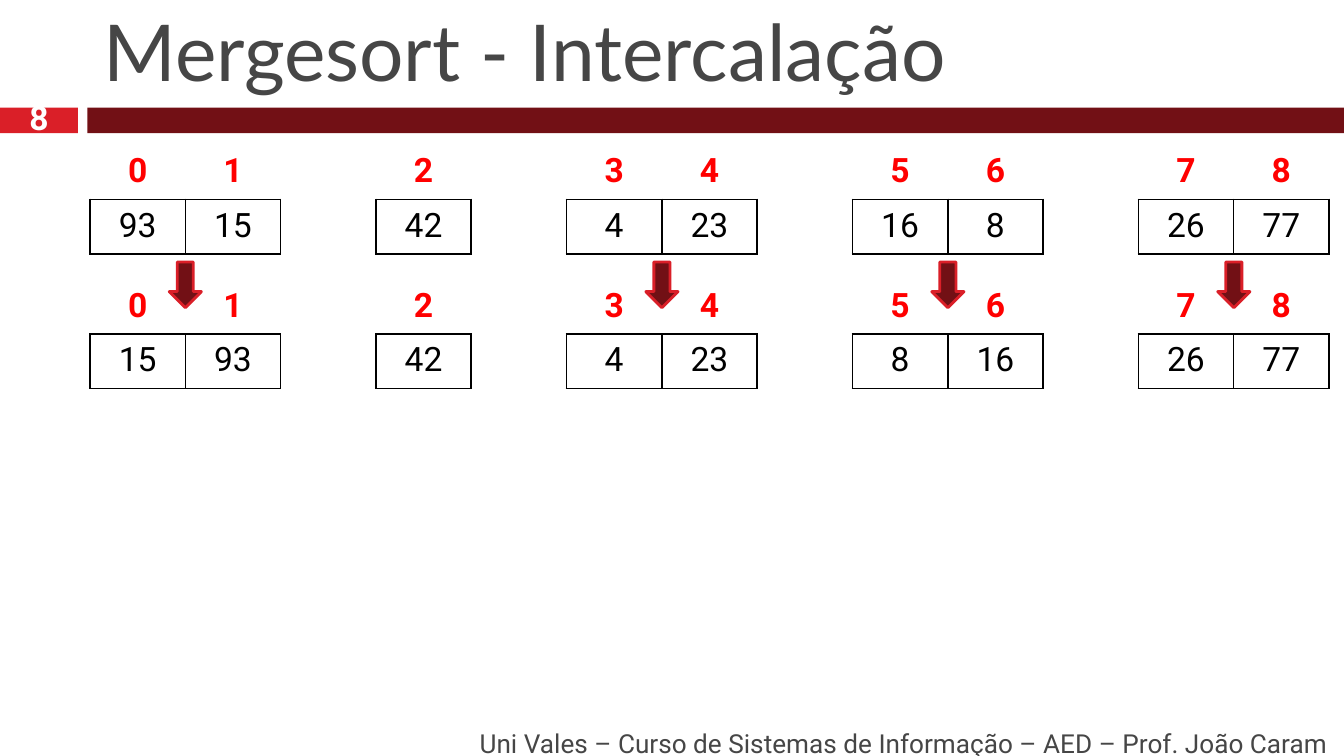
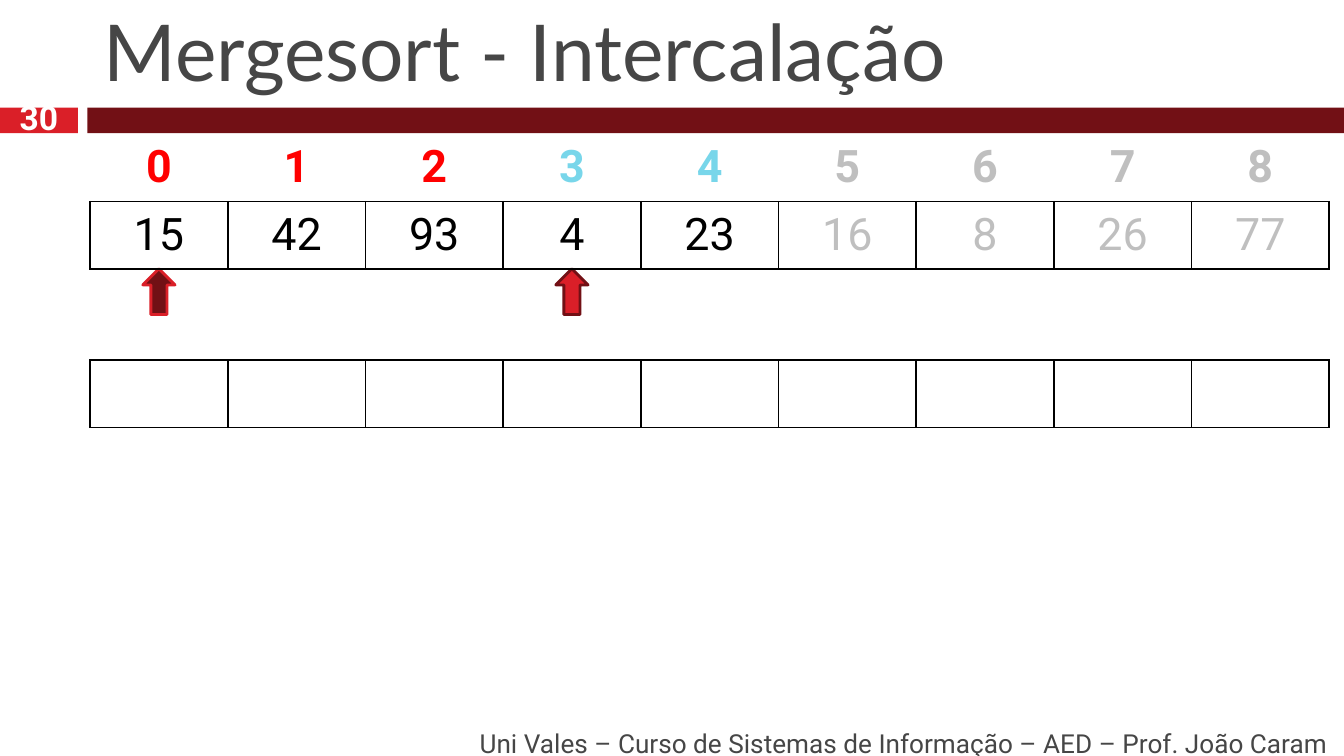
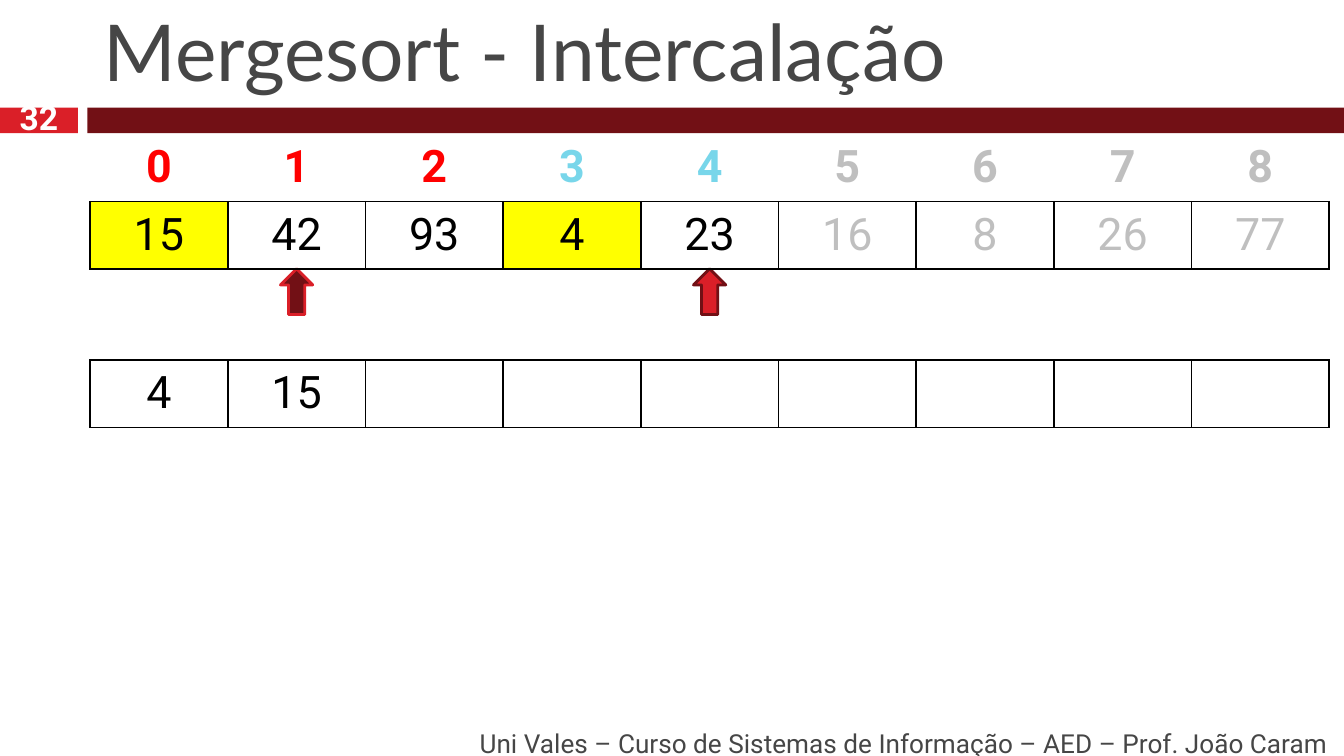
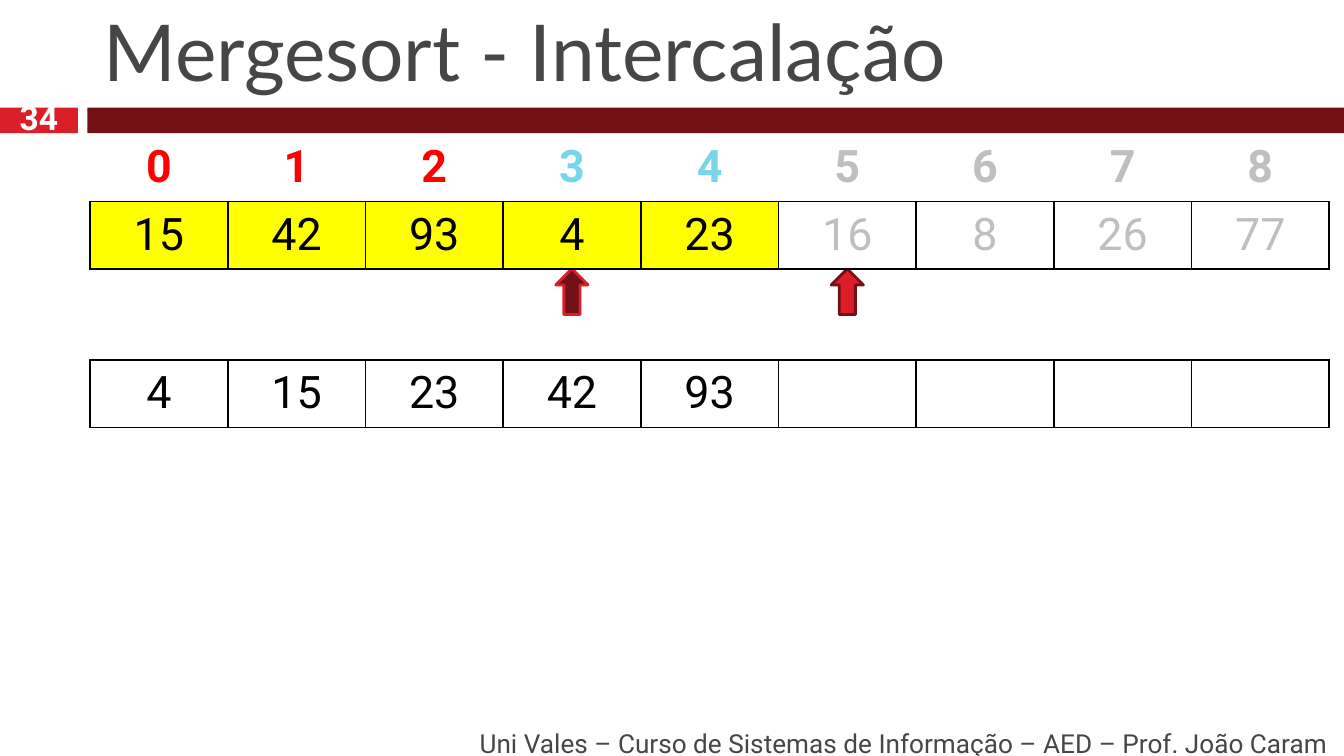
from dataclasses import dataclass

from lxml import etree
from pptx import Presentation
from pptx import util as u
from pptx.dml.color import RGBColor
from pptx.enum import shapes, text
from pptx.oxml import ns


@dataclass(frozen=True)
class Theme:
    """Colours, fonts and type sizes of the deck."""
    dark: str = "721015"
    red: str = "DA1F28"
    gray: str = "464646"
    white: str = "FFFFFF"
    black: str = "000000"
    left: str = "FF0000"
    right: str = "78D6EA"
    idle: str = "BFBFBF"
    done: str = "FFFF00"
    head: str = "Lato"
    body: str = "Roboto"
    title: int = 42
    large: int = 24
    small: int = 18
    foot: int = 14
    plain: str = "{2D5ABB26-0587-4C30-8999-92F81FD0307C}"


T = Theme()
TITLE = "Mergesort - Intercalação"
FOOT = "Uni Vales – Curso de Sistemas de Informação – AED – Prof. João Caram"
LEFT, WIDE = 0.67, 9.22
ROW = 0.81 / 2
ARROW = 0.24, 0.34
PAIRS = [[93, 15], [42], [4, 23], [16, 8], [26, 77]]
SORTED = [sorted(pair) for pair in PAIRS]
LIST = [15, 42, 93, 4, 23, 16, 8, 26, 77]
TONES = [T.left] * 3 + [T.right] * 2 + [T.idle] * 4
STEPS = [
    (30, 0, 3, [], []),
    (32, 1, 4, [0, 3], [4, 15]),
    (34, 3, 5, range(5), [4, 15, 23, 42, 93]),
]


def rgb(code):
    """Turn a hex code into a colour."""
    return RGBColor.from_string(code)


def inch(box):
    """Turn a box in inches into lengths."""
    return [u.Inches(n) for n in box]


def write(frame, words, size, tone, align, bold=False, face=T.body):
    """Put one formatted run into the first paragraph of a frame."""
    par = frame.paragraphs[0]
    par.alignment = align
    run = par.add_run()
    run.text = str(words)
    font = run.font
    font.size, font.bold, font.name = u.Pt(size), bold, face
    font.color.rgb = rgb(tone)


def blank(frame, size):
    """Give an empty paragraph its type size."""
    end = etree.SubElement(frame.paragraphs[0]._p, ns.qn("a:endParaRPr"),
                           sz=str(size * 100))
    etree.SubElement(end, ns.qn("a:latin"), typeface=T.body)


def label(slide, box, words, size, tone, align, bold=False):
    """Add a text box centred on its height."""
    frame = slide.shapes.add_textbox(*inch(box)).text_frame
    frame.word_wrap = True
    frame.margin_top = frame.margin_bottom = 0
    frame.vertical_anchor = text.MSO_ANCHOR.MIDDLE
    write(frame, words, size, tone, align, bold)


def block(slide, kind, box, fill, line=None):
    """Add a flat preset shape."""
    shape = slide.shapes.add_shape(kind, *inch(box))
    shape.shadow.inherit = False
    shape.fill.solid()
    shape.fill.fore_color.rgb = rgb(fill)
    if line:
        shape.line.color.rgb = rgb(line)
        shape.line.width = u.Pt(1.5)
    else:
        shape.line.fill.background()
    return shape


def bands(layout, slide):
    """Move the two shared bands from a slide to its layout."""
    parts = [((0, 0.8, 0.58, 0.19), T.red), ((0.65, 0.8, 9.35, 0.19), T.dark)]
    for i, (box, fill) in enumerate(parts):
        item = block(slide, shapes.MSO_SHAPE.RECTANGLE, box, fill).element
        item.nvSpPr.cNvPr.set("id", str(20 + i))
        layout.shapes.element.insert(2 + i, item)


def start(deck, layout, number):
    """Add a slide with its title, footer and number."""
    slide = deck.slides.add_slide(layout)
    title = slide.shapes.title
    title.left, title.top, title.width, title.height = inch(
        (LEFT, 0.13, WIDE, 0.64))
    frame = title.text_frame
    frame.auto_size = text.MSO_AUTO_SIZE.NONE
    frame.vertical_anchor = text.MSO_ANCHOR.BOTTOM
    write(frame, TITLE, T.title, T.gray, text.PP_ALIGN.LEFT, face=T.head)
    label(slide, (1.06, 5.38, 8.92, 0.3), FOOT, T.foot, T.gray,
          text.PP_ALIGN.RIGHT)
    label(slide, (0, 0.77, 0.58, 0.2), number, T.small, T.white,
          text.PP_ALIGN.CENTER, True)
    return slide


def edge(cell, sides):
    """Draw black lines on the named sides of a cell."""
    props = cell._tc.get_or_add_tcPr()
    for i, side in enumerate(sides):
        line = etree.Element(ns.qn("a:ln" + side), w=str(u.Pt(1)))
        fill = etree.SubElement(line, ns.qn("a:solidFill"))
        etree.SubElement(fill, ns.qn("a:srgbClr"), val=T.black)
        props.insert(i, line)


def grid(slide, box, size, heads, vals, fills=()):
    """Add a row of (word, tone) indexes over a row of boxed values."""
    frame = slide.shapes.add_table(2, len(vals), *inch(box))
    table = frame.table
    table.first_row = table.horz_banding = False
    table._tbl.tblPr.find(ns.qn("a:tableStyleId")).text = T.plain
    for row, items in enumerate((heads, vals)):
        table.rows[row].height = u.Inches(ROW)
        for col, item in enumerate(items):
            cell = table.cell(row, col)
            if row and col in fills:
                cell.fill.solid()
                cell.fill.fore_color.rgb = rgb(T.done)
            else:
                cell.fill.background()
            if item:
                write(cell.text_frame, item[0], size, item[1],
                      text.PP_ALIGN.CENTER, not row)
            else:
                blank(cell.text_frame, size)
            if vals[col] is not None:
                edge(cell, "LRTB" if row else "B")
    frame.height = u.Inches(box[3])


def arrow(slide, mid, top, fill, line, turn=0):
    """Add a block arrow centred on a given line."""
    wide, high = ARROW
    shape = block(slide, shapes.MSO_SHAPE.DOWN_ARROW,
                  (mid - wide / 2, top, wide, high), fill, line)
    shape.rotation = turn


def spread(groups):
    """Lay groups out in one row with an empty column between them."""
    heads, vals, count = [], [], 0
    for group in groups:
        if vals:
            heads.append(None)
            vals.append(None)
        for value in group:
            heads.append((count, T.left))
            vals.append((value, T.black))
            count += 1
    return heads, vals


def split(slide):
    """Show the pairs before and after sorting."""
    for top, groups in ((1.08, PAIRS), (2.08, SORTED)):
        grid(slide, (LEFT, top, WIDE, 0.81), T.small, *spread(groups))
    step = WIDE / (sum(map(len, PAIRS)) + len(PAIRS) - 1)
    col = 0
    for pair in PAIRS:
        if len(pair) == 2:
            arrow(slide, LEFT + (col + 1) * step, 1.95, T.dark, T.red)
        col += len(pair) + 1


def merge(slide, first, second, used, out):
    """Show one step of merging two runs of the list."""
    size = len(LIST)
    step = WIDE / size
    for col, fill, line in ((first, T.dark, T.red), (second, T.red, T.dark)):
        arrow(slide, LEFT + (col + 0.5) * step, 2, fill, line, 180)
    heads = list(enumerate(TONES))
    vals = [(value, T.idle if tone == T.idle else T.black)
            for value, tone in zip(LIST, TONES)]
    grid(slide, (LEFT, 1, WIDE, 1), T.large, heads, vals, used)
    done = [(value, T.black) for value in out]
    done += [()] * (size - len(out))
    grid(slide, (LEFT, 2.18, WIDE, 1), T.large, [()] * size, done)


def main():
    """Build and save the deck."""
    deck = Presentation()
    deck.slide_width = u.Inches(10)
    deck.slide_height = u.Inches(10 * 9 / 16)
    layout = deck.slide_layouts[5]
    slide = start(deck, layout, 8)
    bands(layout, slide)
    split(slide)
    for number, *state in STEPS:
        merge(start(deck, layout, number), *state)
    deck.save("out.pptx")


if __name__ == "__main__":
    main()
